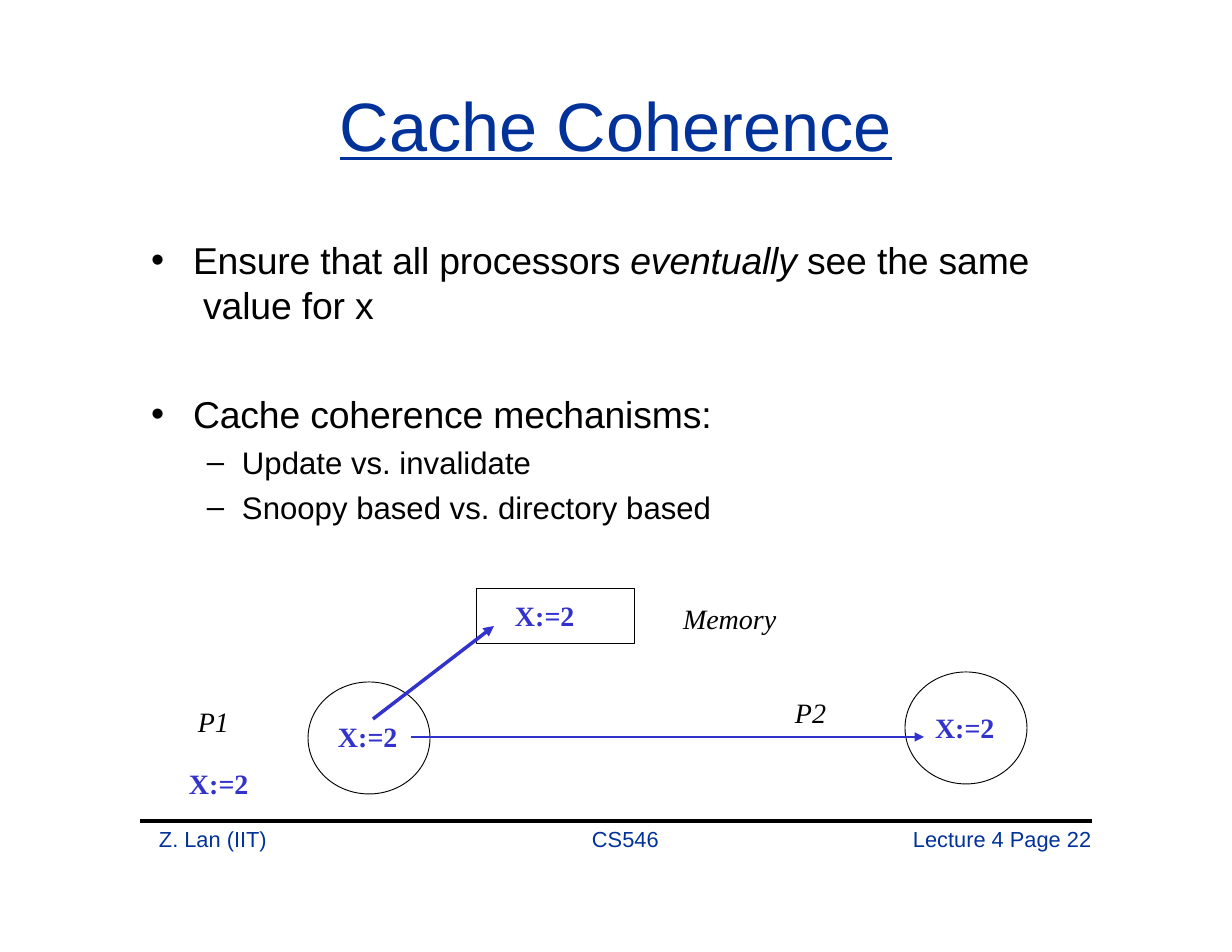
from lxml import etree
from pptx import Presentation
from pptx.dml.color import RGBColor
from pptx.enum.shapes import MSO_CONNECTOR, MSO_SHAPE
from pptx.enum.text import MSO_ANCHOR
from pptx.oxml.ns import qn
from pptx.util import Pt

SCALE = 914400 // 112
STRAIGHT = MSO_CONNECTOR.STRAIGHT
RECTANGLE, OVAL = MSO_SHAPE.RECTANGLE, MSO_SHAPE.OVAL
TOP = MSO_ANCHOR.TOP
NAVY, BLUE, BLACK = "003299", "3232CC", "000000"

TITLE = {"name": "Arial", "size": 44, "color": NAVY, "underline": True}
POINT = {"name": "Arial", "size": 24, "color": BLACK, "spacing": -10}
SUBPOINT = {"name": "Arial", "size": 20, "color": BLACK}
LABEL = {"name": "Times New Roman", "size": 18, "color": BLACK, "italic": True}
VALUE = {"name": "Times New Roman", "size": 18, "color": BLUE, "bold": True}
FOOTER = {"name": "Arial", "size": 14, "color": NAVY}

presentation = Presentation()
presentation.slide_width = 1232 * SCALE
presentation.slide_height = 952 * SCALE
slide = presentation.slides.add_slide(presentation.slide_layouts[6])


def add_run(paragraph, text, style):
    """Add a run of text and apply a dict of font values."""
    run = paragraph.add_run()
    run.text = text
    for key, value in style.items():
        if key == "color":
            run.font.color.rgb = RGBColor.from_string(value)
        elif key == "spacing":
            run._r.get_or_add_rPr().set("spc", str(value))
        else:
            setattr(run.font, key, Pt(value) if key == "size" else value)


def add_text_frame(left, top, width, height):
    """Add a wrapping text box without insets and return its text frame."""
    box = slide.shapes.add_textbox(*(n * SCALE for n in (left, top, width, height)))
    frame = box.text_frame
    settings = {"word_wrap": True, "vertical_anchor": TOP, "margin_left": 0,
                "margin_right": 0, "margin_top": 0, "margin_bottom": 0}
    for key, value in settings.items():
        setattr(frame, key, value)
    return frame


# Bulleted text: runs, style, bullet, left margin, indent, space before
body_points = [
    ([("Ensure that all processors ", False), ("eventually", True),
      (" see the same \u00a0value for x", False)], POINT, "•", 43, -42, 0),
    ([("Cache coherence mechanisms:", False)], POINT, "•", 43, -42, 41.5),
    ([("Update vs. invalidate", False)], SUBPOINT, "–", 92, -35, 4.8),
    ([("Snoopy based vs. directory based", False)], SUBPOINT, "–", 92, -35, 4.8),
]
body = add_text_frame(150, 237, 890, 289)
for index, (runs, style, bullet, margin, indent, space) in enumerate(body_points):
    paragraph = body.add_paragraph() if index else body.paragraphs[0]
    paragraph.space_before = Pt(space)
    for text, italic in runs:
        add_run(paragraph, text, {**style, "italic": italic})
    properties = paragraph._p.get_or_add_pPr()
    properties.set("marL", str(margin * SCALE))
    properties.set("indent", str(indent * SCALE))
    etree.SubElement(properties, qn("a:buFont"), typeface="Arial")
    etree.SubElement(properties, qn("a:buChar"), char=bullet)

# Memory cell and the two processors
for preset, left, top, width, height in [
    (RECTANGLE, 476, 588, 159, 56),
    (OVAL, 308, 682, 122, 112),
    (OVAL, 905, 672, 122, 112),
]:
    shape = slide.shapes.add_shape(
        preset, *(n * SCALE for n in (left, top, width, height)))
    shape.shadow.inherit = False
    shape.fill.background()
    shape.line.color.rgb = RGBColor.from_string(BLACK)
    shape.line.width = Pt(0.6)

# Footer rule and update arrows
for start_x, start_y, end_x, end_y, color, width, has_head in [
    (140, 821, 1092, 821, BLACK, 2, False),
    (373, 719, 494, 626, BLUE, 2.25, True),
    (411, 737, 924, 737, BLUE, 1.9, True),
]:
    connector = slide.shapes.add_connector(
        STRAIGHT, *(n * SCALE for n in (start_x, start_y, end_x, end_y)))
    connector.line.color.rgb = RGBColor.from_string(color)
    connector.line.width = Pt(width)
    properties = connector._element.spPr
    if has_head:
        etree.SubElement(properties.find(qn("a:ln")), qn("a:tailEnd"),
                         type="triangle", w="med", len="med")
    etree.SubElement(properties, qn("a:effectLst"))

# Single-line texts: text, left, top, width, height, style, exact line height
for text, left, top, width, height, style, line_height in [
    ("Cache Coherence", 340, 83, 720, 80, TITLE, None),
    ("Memory", 683, 602, 110, 36, LABEL, None),
    ("P1", 198, 705, 50, 36, LABEL, None),
    ("P2", 795, 696, 50, 36, LABEL, None),
    ("X:=2", 515, 602, 75, 30, VALUE, 19.4),
    ("X:=2", 935, 714, 75, 30, VALUE, 19.4),
    ("X:=2", 189, 770, 75, 30, VALUE, 19.4),
    ("X:=2", 338, 723, 75, 30, VALUE, 19.4),
    ("Z. Lan (IIT)", 159, 829, 130, 25, FOOTER, 14.7),
    ("CS546", 592, 829, 90, 25, FOOTER, 14.7),
    ("Lecture 4 Page 22", 913, 829, 200, 25, FOOTER, 14.7),
]:
    paragraph = add_text_frame(left, top, width, height).paragraphs[0]
    if line_height:
        paragraph.line_spacing = Pt(line_height)
    add_run(paragraph, text, style)

presentation.save("out.pptx")
